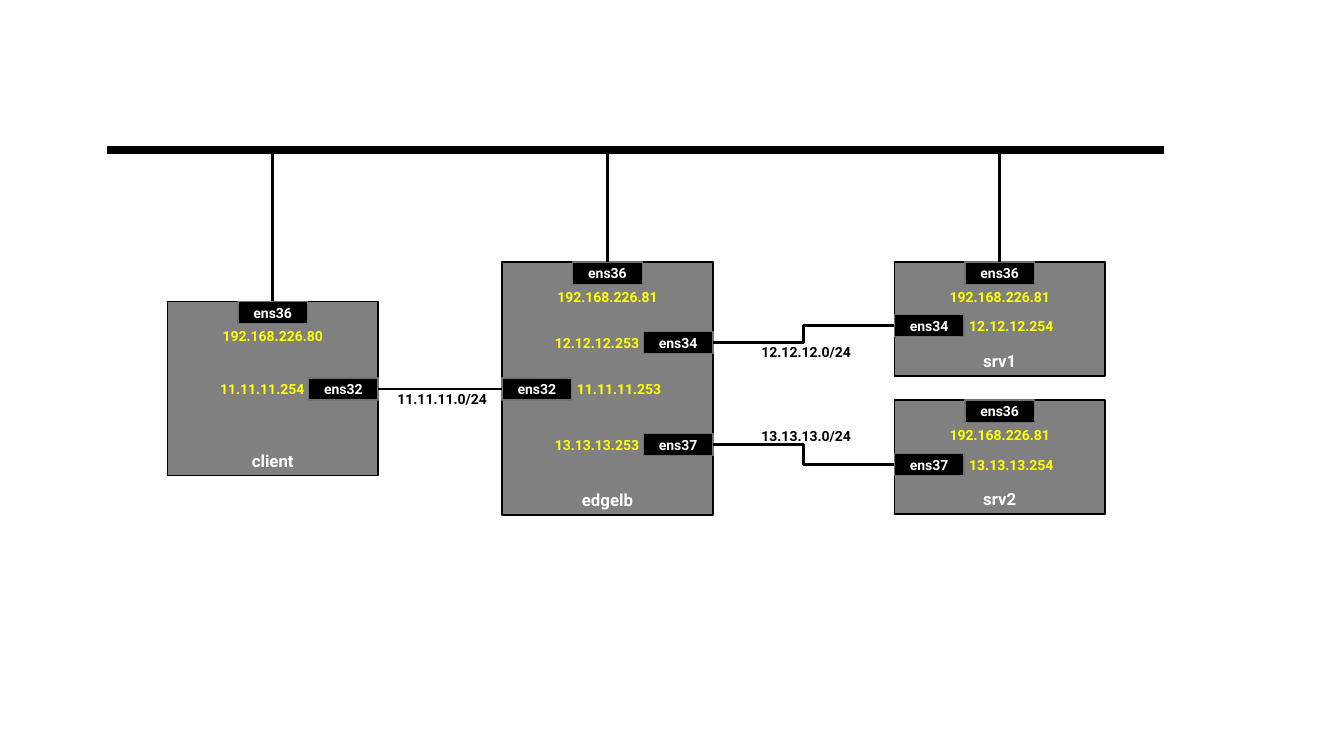
from pptx import Presentation
from pptx.dml.color import RGBColor as Rgb
from pptx.enum.shapes import MSO_CONNECTOR as Link, MSO_SHAPE as Shape
from pptx.enum.text import MSO_ANCHOR as Anchor, MSO_AUTO_SIZE as Fit, PP_ALIGN as Align
from pptx.util import Inches, Pt
from lxml import etree

CELL = Inches(0.01)
COLS, ROWS = 1333, 750
FONT = "Roboto"
HEX = {"ink": "000000", "node": "808080", "edge": "767171",
       "name": "FFFFFF", "addr": "FFFF00"}
NODE_W = 209
PORT_W, PORT_H = 69, 22
ADDR_W, ADDR_H = 92, 17
MAIN_W = 142
BUS_Y = 149
TOP, LEFT, RIGHT = 0, 1, 3
A_NS = "http://schemas.openxmlformats.org/drawingml/2006/main"

NODES = [
    ("client", 166, 299, 173, "192.168.226.80",
     [("ens32", RIGHT, 375, "11.11.11.254")]),
    ("edgelb", 498, 260, 251, "192.168.226.81",
     [("ens32", LEFT, 375, "11.11.11.253"),
      ("ens34", RIGHT, 329, "12.12.12.253"),
      ("ens37", RIGHT, 430, "13.13.13.253")]),
    ("srv1", 887, 260, 113, "192.168.226.81",
     [("ens34", LEFT, 312, "12.12.12.254")]),
    ("srv2", 887, 397, 113, "192.168.226.81",
     [("ens37", LEFT, 450, "13.13.13.254")]),
]
NETS = [
    ("client", "edgelb", "ens32", "11.11.11.0/24", 391, 387),
    ("edgelb", "srv1", "ens34", "12.12.12.0/24", 752, 341),
    ("edgelb", "srv2", "ens37", "13.13.13.0/24", 752, 424),
]


def grid(*vals):
    return [int(val * CELL) for val in vals]


def tint(key):
    return Rgb.from_string(HEX[key])


def write(shape, text, size, key, anchor=Anchor.MIDDLE):
    frame = shape.text_frame
    frame.word_wrap = True
    frame.vertical_anchor = anchor
    para = frame.paragraphs[0]
    para.alignment = Align.CENTER
    run = para.add_run()
    run.text = text
    font = run.font
    font.name, font.size, font.bold = FONT, Pt(size), True
    font.color.rgb = tint(key)
    return frame


def add_box(tree, area, text, size, fill, line, anchor=Anchor.MIDDLE):
    box = tree.add_shape(Shape.RECTANGLE, *grid(*area))
    box.shadow.inherit = False
    box.fill.solid()
    box.fill.fore_color.rgb = tint(fill)
    box.line.color.rgb = tint(line)
    box.line.width = Pt(1)
    write(box, text, size, "name", anchor)
    return box


def add_label(tree, area, text, key):
    frame = write(tree.add_textbox(*grid(*area)), text, 10, key)
    frame.margin_left = frame.margin_right = 0
    frame.margin_top = frame.margin_bottom = 0
    frame.auto_size = Fit.SHAPE_TO_FIT_TEXT


def add_port(tree, x, y, text):
    return add_box(tree, (x, y, PORT_W, PORT_H), text, 10, "ink", "edge")


def add_node(tree, name, x, y, h, main, ports):
    node = tree.add_group_shape().shapes
    add_box(node, (x, y, NODE_W, h), name, 12, "node", "ink", Anchor.BOTTOM)
    made = {"ens36": (add_port(node, x + (NODE_W - PORT_W) / 2, y, "ens36"), TOP)}
    add_label(node, (x + (NODE_W - MAIN_W) / 2, y + 26, MAIN_W, ADDR_H), main, "addr")
    for text, side, top, addr in ports:
        left = x + NODE_W - PORT_W if side == RIGHT else x
        made[text] = (add_port(node, left, top, text), side)
        start = left - ADDR_W if side == RIGHT else left + PORT_W + 1
        add_label(node, (start, top + 2.5, ADDR_W, ADDR_H), addr, "addr")
    return made


def add_line(tree, kind, ends, width):
    line = tree.add_connector(kind, *grid(*ends))
    line.line.color.rgb = tint("ink")
    line.line.width = Pt(width)
    etree.SubElement(line._element.spPr, f"{{{A_NS}}}effectLst")
    return line


def add_net(tree, start, end, text, x, y):
    line = add_line(tree, Link.ELBOW, (0, 0, 0, 0), 2)
    line.begin_connect(*start)
    line.end_connect(*end)
    add_label(tree, (x, y, 95, ADDR_H), text, "ink")


def main():
    deck = Presentation()
    deck.slide_width, deck.slide_height = grid(COLS, ROWS)
    tree = deck.slides.add_slide(deck.slide_layouts[6]).shapes
    ports = {node[0]: add_node(tree, *node) for node in NODES}
    for start, end, port, *label in NETS:
        add_net(tree, ports[start][port], ports[end][port], *label)
    for name, x, y, *_ in NODES[:3]:
        mid = x + NODE_W / 2
        drop = add_line(tree, Link.STRAIGHT, (mid, y, mid, BUS_Y), 2)
        drop.begin_connect(*ports[name]["ens36"])
    add_line(tree, Link.STRAIGHT, (106, BUS_Y, 1154, BUS_Y), 6)
    deck.save("out.pptx")


if __name__ == "__main__":
    main()
